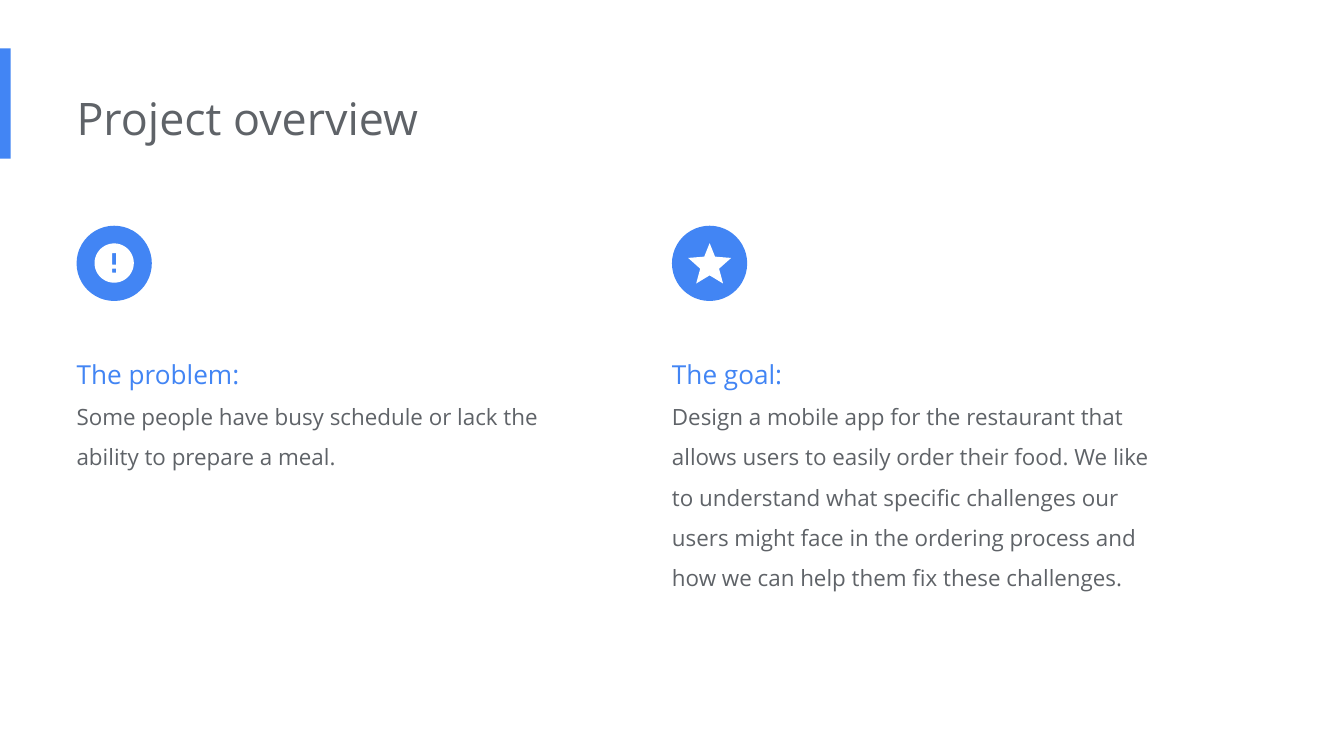
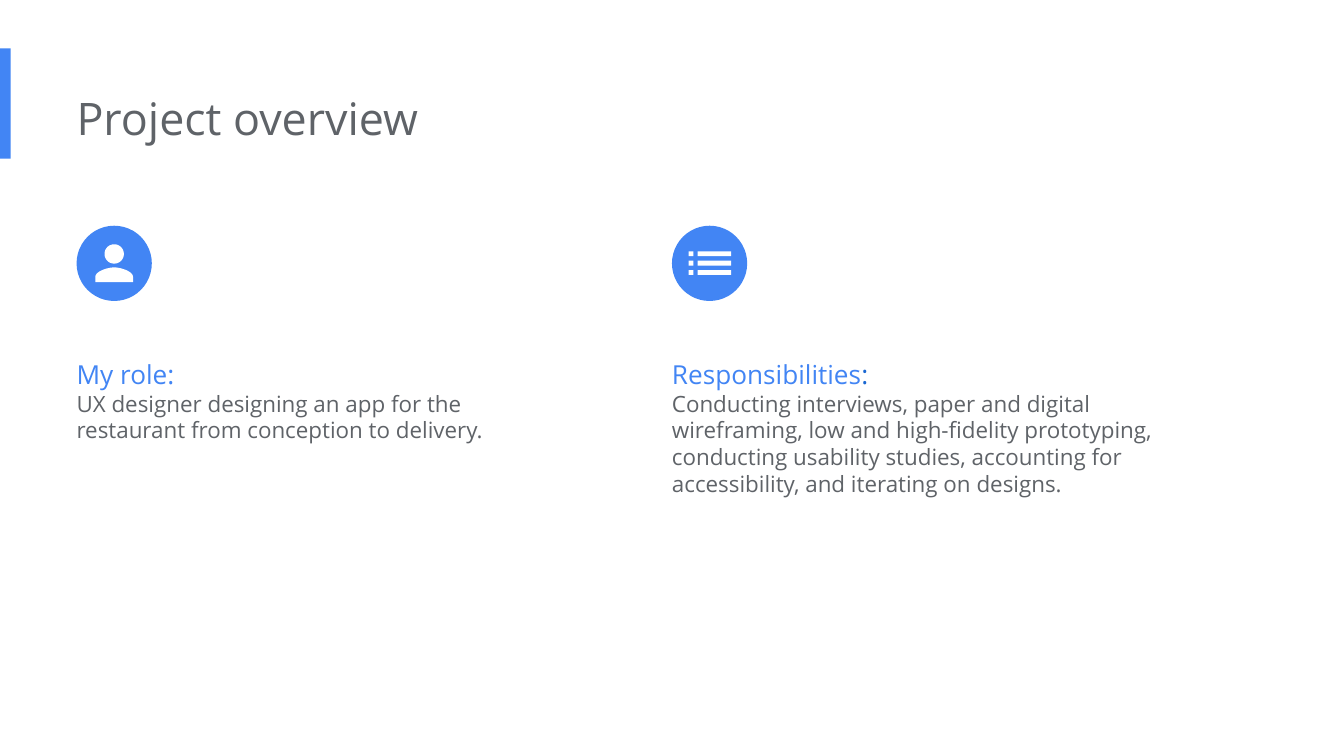
from math import cos, sin, tau

from pptx import Presentation
from pptx.dml.color import RGBColor
from pptx.enum.shapes import MSO_SHAPE as Kind
from pptx.enum.text import MSO_ANCHOR as Anchor
from pptx.util import Inches, Pt

BLUE = RGBColor(0x42, 0x85, 0xF4)
NAVY = RGBColor(0x19, 0x67, 0xD2)
GRAY = RGBColor(0x5F, 0x63, 0x68)
WHITE = RGBColor(0xFF, 0xFF, 0xFF)
FONT = "Open Sans"
LEFT, RIGHT = 0.57, 5
DISC = 0.56


# Outlines, in hundredths of an inch from the corner of the disc
def rect(x, y, w, h):
    return [(x, y), (x + w, y), (x + w, y + h), (x, y + h)]


def ring(x, y, r, count=72):
    turns = [tau * i / count for i in range(count)]
    return [(x + r * cos(t), y + r * sin(t)) for t in turns]


def curve(a, b, c, d, count=16):
    def blend(t, *v):
        u = 1 - t
        return (u**3 * v[0] + 3 * u * u * t * v[1]
                + 3 * u * t * t * v[2] + t**3 * v[3])
    steps = [i / count for i in range(count + 1)]
    return [tuple(blend(t, *axis) for axis in zip(a, b, c, d)) for t in steps]


ALERT = [ring(28, 27.8, 14.6), rect(26.5, 20.5, 3, 8.5),
         rect(26.5, 32, 3, 3)]
STAR = [[(28, 37), (38, 43), (35, 32), (44, 24), (32, 23),
         (28, 13), (24, 23), (12, 24), (21, 32), (18, 43)]]
PERSON = [ring(28, 21, 7.2),
          curve((28, 31), (23, 31), (14, 34), (14, 38))
          + [(14, 42), (42, 42)]
          + curve((42, 38), (42, 34), (33, 31), (28, 31))]
LIST = [rect(x, y, w, 3.6)
        for y in (19, 26, 33) for x, w in ((12.3, 3.7), (19, 25))]


def paint(shape, color):
    shape.fill.solid()
    shape.fill.fore_color.rgb = color
    shape.line.fill.background()
    shape.shadow.inherit = False


def block(slide, x, y, w, h):
    """Add an empty text frame with no left inset."""
    frame = slide.shapes.add_textbox(
        Inches(x), Inches(y), Inches(w), Inches(h)).text_frame
    frame.word_wrap = True
    frame.margin_left = 0
    frame.margin_right = frame.margin_top = frame.margin_bottom = Inches(0.1)
    return frame


def style(para, size, color, gap=1.0):
    para.font.name = FONT
    para.font.size = Pt(size)
    para.font.color.rgb = color
    para.line_spacing = gap


def badge(slide, x, y, icon):
    """Draw a blue disc with a white icon on it."""
    disc = slide.shapes.add_shape(
        Kind.OVAL, Inches(x), Inches(y), Inches(DISC), Inches(DISC))
    paint(disc, BLUE)
    pen = None
    for path in icon:
        first, *rest = [(Inches(a / 100), Inches(b / 100)) for a, b in path]
        if pen is None:
            pen = slide.shapes.build_freeform(*first)
        else:
            pen.move_to(*first)
        pen.add_line_segments(rest, close=True)
    paint(pen.convert_to_shape(Inches(x), Inches(y)), WHITE)


def column(slide, x, icon, head, body, high, gap, tail=BLUE):
    """Set a badge above a heading and its text."""
    badge(slide, x, 1.68, icon)
    frame = block(slide, x, 2.45, 3.77, high)
    title = frame.paragraphs[0]
    style(title, 14, BLUE, 1.5)
    if tail == BLUE:
        title.add_run().text = head
    else:
        title.add_run().text = head[:-1]
        colon = title.add_run()
        colon.text = head[-1]
        colon.font.color.rgb = tail
    para = frame.add_paragraph()
    para.text = body
    style(para, 12, GRAY, gap)


def header(slide, text):
    """Set the side bar and the slide title."""
    bar = slide.shapes.add_shape(
        Kind.RECTANGLE, 0, Inches(0.36), Inches(0.08), Inches(0.82))
    paint(bar, BLUE)
    frame = block(slide, LEFT, 0.57, 6.73, 0.61)
    frame.vertical_anchor = Anchor.MIDDLE
    para = frame.paragraphs[0]
    para.text = text
    style(para, 24, GRAY)


def overview(deck, *cols):
    slide = deck.slides.add_slide(deck.slide_layouts[6])
    header(slide, "Project overview")
    for x, col in zip((LEFT, RIGHT), cols):
        column(slide, x, *col)


def main():
    deck = Presentation()
    deck.slide_width = Inches(10)
    deck.slide_height = Inches(10) * 9 // 16  # widescreen

    # Problem and goal
    overview(
        deck,
        (ALERT, "The problem:",
         "Some people have busy schedule or lack the ability to prepare "
         "a meal.", 1.16, 1.5),
        (STAR, "The goal:",
         "Design a mobile app for the restaurant that allows users to easily "
         "order their food. We like to understand what specific challenges "
         "our users might face in the ordering process and how we can help "
         "them fix these challenges.", 2.07, 1.5))

    # Role and duties
    overview(
        deck,
        (PERSON, "My role:",
         "UX designer designing an app for the restaurant from conception "
         "to delivery.", 1.43, 1.0),
        (LIST, "Responsibilities:",
         "Conducting interviews, paper and digital wireframing, low and "
         "high-fidelity prototyping, conducting usability studies, "
         "accounting for accessibility, and iterating on designs.",
         1.83, 1.0, NAVY))

    deck.save("out.pptx")


if __name__ == "__main__":
    main()
